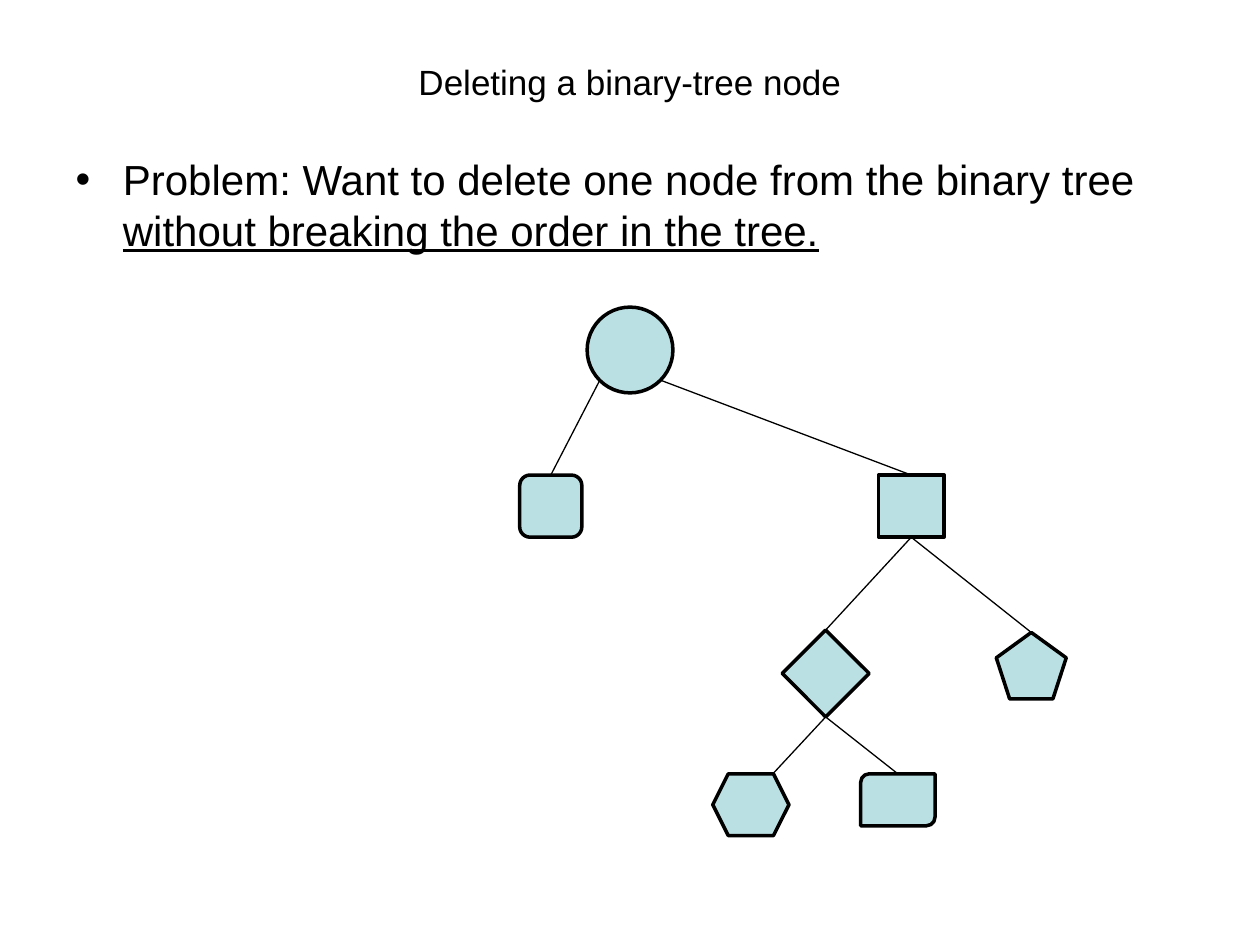
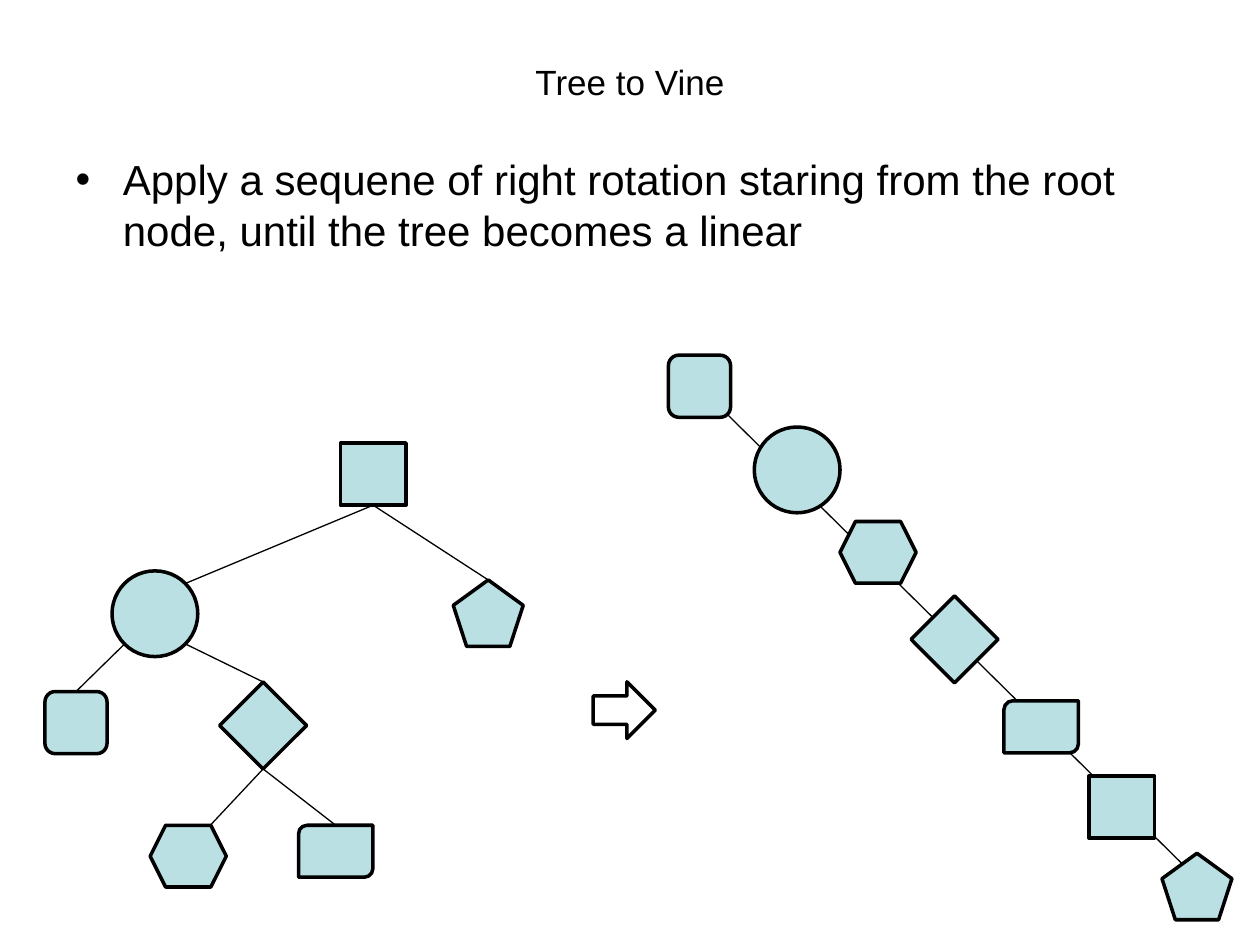
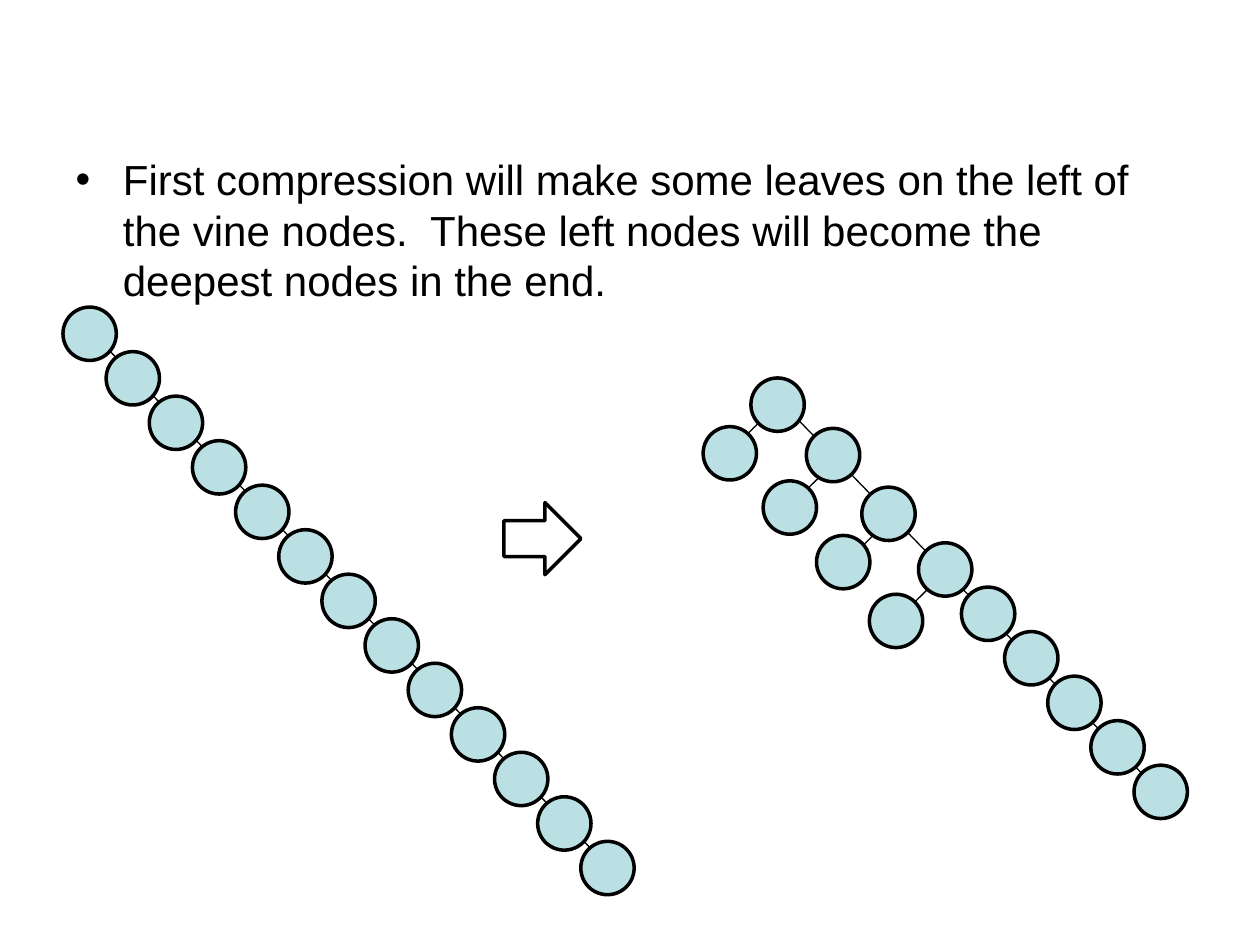
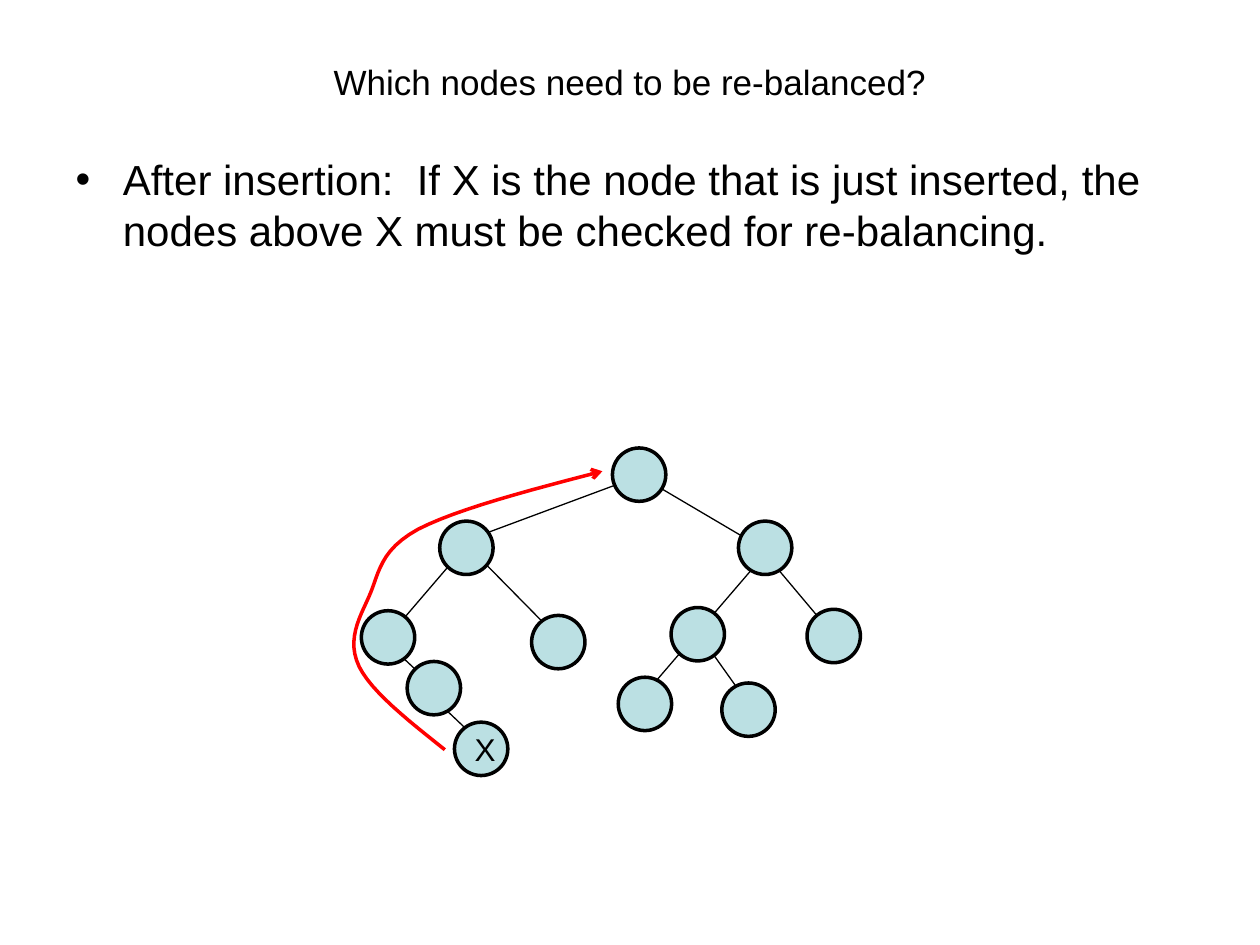
from lxml import etree
from pptx import Presentation
from pptx.dml.color import RGBColor
from pptx.enum import shapes as sh, text as tx
from pptx.oxml.ns import qn
from pptx.util import Pt

# Shared style
FONT = "Arial"
BLACK, NODE_FILL, RED = "000000", "BBE0E3", "FF0000"
OUTLINE, LINK = 2, 0.75
BALL = 30.5  # diameter of a small tree node

# Node kinds: preset, width, height
KIND = sh.MSO_SHAPE
NODES = {
    "circle": (KIND.OVAL, 49, 49),
    "square": (KIND.RECTANGLE, 37.5, 35.5),
    "rounded": (KIND.ROUNDED_RECTANGLE, 35.5, 35.5),
    "diamond": (KIND.DIAMOND, 49.7, 49.7),
    "pentagon": (KIND.REGULAR_PENTAGON, 40, 38),
    "hexagon": (KIND.HEXAGON, 43.5, 35.3),
    "tag": (KIND.ROUND_2_DIAG_RECTANGLE, 42.5, 29.7),
    "ball": (KIND.OVAL, BALL, BALL),
}

# Where a link meets a node, as shares of its width and height
ANCHORS = {
    "top": (0.5, 0), "bottom": (0.5, 1), "top corner": (0.79, 0),
    "lower left": (0.15, 0.85), "lower right": (0.85, 0.85),
    "upper right": (0.85, 0.15),
}


def color(hex_code):
    return RGBColor.from_string(hex_code)


def style_font(font, size):
    font.name, font.size = FONT, Pt(size)
    font.color.rgb = color(BLACK)


def place(shape, left, top, width, height):
    shape.left, shape.top = Pt(left), Pt(top)
    shape.width, shape.height = Pt(width), Pt(height)


def add_slide(prs, title, *body_parts):
    """Slide with a title and one bullet; any second body part is underlined."""
    slide = prs.slides.add_slide(prs.slide_layouts[1])
    heading, body = slide.placeholders
    if title:
        place(heading, 36, 21.6, 648, 50.4)
        frame = heading.text_frame
        frame.text = title
        frame.vertical_anchor = tx.MSO_ANCHOR.MIDDLE
        frame.paragraphs[0].alignment = tx.PP_ALIGN.CENTER
        style_font(frame.paragraphs[0].runs[0].font, 20)
    else:
        heading.element.getparent().remove(heading.element)

    place(body, 36, 84.2, 648, 398.2)
    bullet = body.text_frame.paragraphs[0]
    for index, part in enumerate(body_parts):
        run = bullet.add_run()
        run.text = part
        style_font(run.font, 24)
        if index:
            run.font.underline = True
    props = bullet._p.get_or_add_pPr()
    props.set("marL", str(Pt(27)))
    props.set("indent", str(Pt(-27)))
    etree.SubElement(props, qn("a:buFont")).set("typeface", FONT)
    etree.SubElement(props, qn("a:buChar")).set("char", "•")
    return slide


def add_outlined(slide, preset, left, top, width, height, fill=None):
    shape = slide.shapes.add_shape(
        preset, Pt(left), Pt(top), Pt(width), Pt(height))
    shape.shadow.inherit = False
    if fill:
        shape.fill.solid()
        shape.fill.fore_color.rgb = color(fill)
    else:
        shape.fill.background()
    shape.line.color.rgb = color(BLACK)
    shape.line.width = Pt(OUTLINE)
    return shape


def add_node(slide, kind, left, top):
    preset, width, height = NODES[kind]
    return add_outlined(slide, preset, left, top, width, height, NODE_FILL)


def add_step_arrow(slide, left, top, width, height):
    add_outlined(slide, KIND.RIGHT_ARROW, left, top, width, height)


def add_link(slide, x1, y1, x2, y2):
    link = slide.shapes.add_connector(
        sh.MSO_CONNECTOR.STRAIGHT, Pt(x1), Pt(y1), Pt(x2), Pt(y2))
    link.line.color.rgb = color(BLACK)
    link.line.width = Pt(LINK)
    etree.SubElement(link._element.spPr, qn("a:effectLst"))


def add_tree(slide, spots, links):
    """Draw one node of each kind, then links between their anchors."""
    def anchor(kind, side):
        (left, top), (_, width, height) = spots[kind], NODES[kind]
        across, down = ANCHORS[side]
        return left + across * width, top + down * height

    for kind, (left, top) in spots.items():
        add_node(slide, kind, left, top)
    for parent, parent_side, child, child_side in links:
        add_link(slide, *anchor(parent, parent_side), *anchor(child, child_side))


def add_chain(slide, left, top, count):
    for i in range(count):
        add_node(slide, "ball", left + i * 24.66, top + i * 25.44)


def bezier(p0, p1, p2, p3, t):
    s = 1 - t
    return tuple(s**3 * a + 3 * s * s * t * b + 3 * s * t * t * c + t**3 * d
                 for a, b, c, d in zip(p0, p1, p2, p3))


def add_curved_arrow(slide, start, curves, steps=12):
    points, here = [], start
    for c1, c2, end in curves:
        points += [bezier(here, c1, c2, end, i / steps)
                   for i in range(1, steps + 1)]
        here = end
    builder = slide.shapes.build_freeform(Pt(start[0]), Pt(start[1]))
    builder.add_line_segments([(Pt(x), Pt(y)) for x, y in points], close=False)
    route = builder.convert_to_shape()
    route.shadow.inherit = False
    route.fill.background()
    route.line.color.rgb = color(RED)
    route.line.width = Pt(OUTLINE)
    etree.SubElement(route.line._get_or_add_ln(),
                     qn("a:tailEnd")).set("type", "arrow")


DIAMOND_LINKS = [("diamond", "bottom", "hexagon", "top corner"),
                 ("diamond", "bottom", "tag", "top")]


def deleting_slide(prs):
    slide = add_slide(prs, "Deleting a binary-tree node",
                      "Problem: Want to delete one node from the binary tree ",
                      "without breaking the order in the tree.")
    add_tree(slide, {
        "circle": (335.5, 175.5), "square": (502, 271.5),
        "rounded": (297, 271.5), "diamond": (447, 360),
        "pentagon": (569.3, 361.4), "hexagon": (407.3, 442.2),
        "tag": (491.8, 442.2),
    }, [
        ("circle", "lower left", "rounded", "top"),
        ("circle", "lower right", "square", "top"),
        ("square", "bottom", "diamond", "top"),
        ("square", "bottom", "pentagon", "top"),
    ] + DIAMOND_LINKS)


def vine_slide(prs):
    slide = add_slide(prs, "Tree to Vine",
                      "Apply a sequene of right rotation staring from the "
                      "root node, until the tree becomes a linear")
    add_tree(slide, {
        "circle": (64, 326.2), "square": (194.5, 253.2),
        "rounded": (25.7, 395.2), "diamond": (125.5, 389.7),
        "pentagon": (259, 331.4), "hexagon": (85.8, 471.6),
        "tag": (170.6, 471.6),
    }, [
        ("circle", "lower left", "rounded", "top"),
        ("circle", "upper right", "square", "bottom"),
        ("circle", "lower right", "diamond", "top"),
        ("square", "bottom", "pentagon", "top"),
    ] + DIAMOND_LINKS)
    add_step_arrow(slide, 339, 389.6, 35.5, 32.4)

    # The vine: one line behind all its nodes
    add_link(slide, 399.6, 221, 689, 506.9)
    add_tree(slide, {
        "circle": (431, 244), "square": (622.2, 443.4),
        "rounded": (382, 203), "diamond": (520.6, 340.5),
        "pentagon": (664, 487.6), "hexagon": (480, 298),
        "tag": (573.7, 400.5),
    }, [])


def compression_slide(prs):
    slide = add_slide(prs, None,
                      "First compression will make some leaves on the left of "
                      "the vine nodes.  These left nodes will become the "
                      "deepest nodes in the end.")
    # Vine before compression
    add_link(slide, 52.6, 190.1, 347, 494.6)
    add_chain(slide, 36, 175.5, 13)
    add_step_arrow(slide, 288, 287.2, 44, 41.2)

    # Vine after compression: the upper nodes have left leaves
    add_link(slide, 438.5, 221.8, 663.1, 452.9)
    add_chain(slide, 549.4, 335.5, 5)
    for x, y in [(444.2, 231.1), (477.4, 263.5), (511.2, 293.8), (540, 326.9)]:
        add_link(slide, x, y, x - 25.9, y + 25.7)
    for left, top in [(401.8, 243.8), (429.1, 216), (436.1, 274.8),
                      (460.8, 244.8), (466.6, 306), (492.5, 278.4),
                      (496.8, 339.6), (524.9, 310.2)]:
        add_node(slide, "ball", left, top)


def rebalancing_slide(prs):
    slide = add_slide(prs, "Which nodes need to be re-balanced?",
                      "After insertion:  If X is the node that is just "
                      "inserted, the nodes above X must be checked for "
                      "re-balancing.")
    # Links run on behind the nodes
    for ends in [(275.8, 425.5, 246.2, 397.4), (266.4, 308.9, 367.2, 271.4),
                 (267.1, 311, 223.9, 361.4), (317.5, 362.9, 270.7, 315.4),
                 (437, 316.8, 366.5, 398.9), (428.4, 403.2, 401.8, 365.8),
                 (485.3, 373.7, 435.6, 314.6), (367.2, 272.9, 435.6, 313.2),
                 (221, 367.2, 244.8, 389.5)]:
        add_link(slide, *ends)
    for left, top in [(251.3, 297.8), (353.3, 387), (383.5, 347.2),
                      (412.5, 390.3), (350, 256), (422, 297.8),
                      (206.5, 349), (232.7, 378), (303.8, 351.7),
                      (461.2, 348.2)]:
        add_node(slide, "ball", left, top)

    # Inserted node
    inserted = add_node(slide, "ball", 259.7, 412.7)
    frame = inserted.text_frame
    frame.margin_left = Pt(4.5)
    frame.margin_right = frame.margin_top = frame.margin_bottom = 0
    frame.text = "X"
    frame.vertical_anchor = tx.MSO_ANCHOR.MIDDLE
    frame.paragraphs[0].alignment = tx.PP_ALIGN.CENTER
    style_font(frame.paragraphs[0].runs[0].font, 18)

    # Route from the inserted node up to the root
    add_curved_arrow(slide, (254.2, 428.4), [
        ((233.3, 411.8), (212.4, 395.3), (205.2, 380.9)),
        ((198, 365.8), (205.2, 353.5), (211, 340.6)),
        ((216.7, 327.6), (216.7, 314.6), (239, 302.4)),
        ((261.4, 290.9), (302.4, 280.1), (344.2, 269.3)),
    ])


def main():
    prs = Presentation()
    prs.slide_width, prs.slide_height = Pt(720), Pt(540)
    deleting_slide(prs)
    vine_slide(prs)
    compression_slide(prs)
    rebalancing_slide(prs)
    prs.save("out.pptx")


main()
